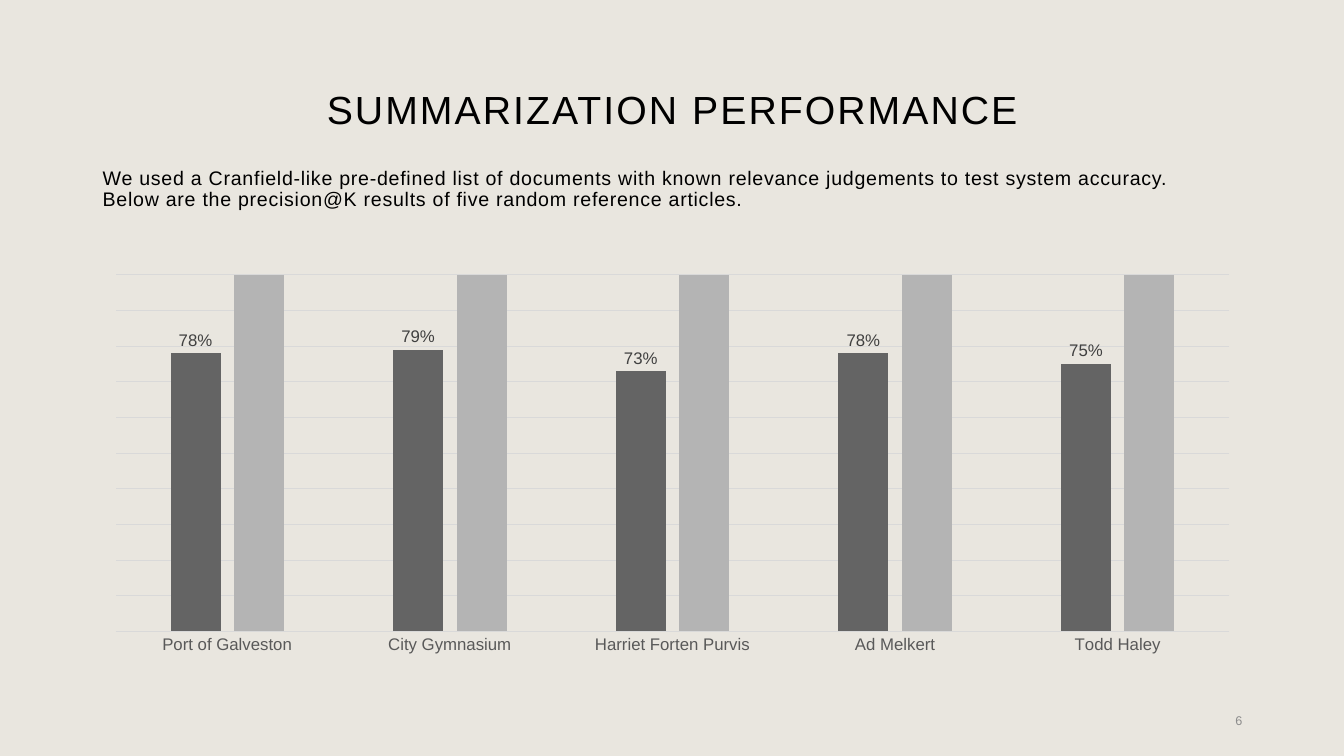
import pptx
import pptx.chart.data
import pptx.dml.color
import pptx.enum.chart
import pptx.enum.text
import pptx.util

Inches = pptx.util.Inches
Pt = pptx.util.Pt
RGBColor = pptx.dml.color.RGBColor
Align = pptx.enum.text.PP_ALIGN
Anchor = pptx.enum.text.MSO_ANCHOR

BACKGROUND = RGBColor(0xE9, 0xE6, 0xDF)
BLACK = RGBColor(0x00, 0x00, 0x00)
LABEL_GRAY = RGBColor(0x40, 0x40, 0x40)
AXIS_GRAY = RGBColor(0x59, 0x59, 0x59)
NUMBER_GRAY = RGBColor(0x8C, 0x8C, 0x8C)
GRID_GRAY = RGBColor(0xD9, 0xD9, 0xD9)
DARK_BAR = RGBColor(0x64, 0x64, 0x64)
LIGHT_BAR = RGBColor(0xB4, 0xB4, 0xB4)


class PageBuilder:
    """Holds the font and the current page."""

    def __init__(self, page, font_name):
        self.page = page
        self.font_name = font_name
        page.background.fill.solid()
        page.background.fill.fore_color.rgb = BACKGROUND

    def style_font(self, font, size, color):
        font.name = self.font_name
        font.size = Pt(size)
        font.color.rgb = color

    def text(self, words, left, top, width, height, size, color=BLACK,
             align=Align.LEFT, anchor=Anchor.MIDDLE, line_spacing=1.0,
             space_before=0, letter_spacing=0):
        box = self.page.shapes.add_textbox(
            Inches(left), Inches(top), Inches(width), Inches(height))
        frame = box.text_frame
        frame.word_wrap = True
        frame.vertical_anchor = anchor
        frame.text = words
        para = frame.paragraphs[0]
        para.alignment = align
        para.line_spacing = line_spacing
        para.space_before = Pt(space_before)
        span = para.runs[0]
        self.style_font(span.font, size, color)
        if letter_spacing:
            span.font._element.set("spc", str(int(letter_spacing * 100)))

    def column_chart(self, categories, series, left, top, width, height):
        data = pptx.chart.data.CategoryChartData(number_format="0%")
        data.categories = categories
        for name, values, color in series:
            data.add_series(name, values)
        chart = self.page.shapes.add_chart(
            pptx.enum.chart.XL_CHART_TYPE.COLUMN_CLUSTERED,
            Inches(left), Inches(top), Inches(width), Inches(height), data).chart
        chart.has_legend = False
        chart.has_title = False
        self.style_font(chart.font, 10, BLACK)

        # Bars
        plot = chart.plots[0]
        plot.vary_by_categories = False
        plot.gap_width = 219
        plot.overlap = -27
        for bars, (name, values, color) in zip(plot.series, series):
            bars.format.fill.solid()
            bars.format.fill.fore_color.rgb = color

        # Value labels on the first series
        labels = plot.series[0].data_labels
        labels.show_value = True
        labels.number_format = "0%"
        labels.number_format_is_linked = False
        labels.position = pptx.enum.chart.XL_LABEL_POSITION.OUTSIDE_END
        self.style_font(labels.font, 12, LABEL_GRAY)

        # Axes
        no_tick = pptx.enum.chart.XL_TICK_MARK.NONE
        names_axis = chart.category_axis
        names_axis.major_tick_mark = no_tick
        names_axis.minor_tick_mark = no_tick
        self.style_font(names_axis.tick_labels.font, 12, AXIS_GRAY)
        value_axis = chart.value_axis
        value_axis.visible = False
        value_axis.minimum_scale = 0
        value_axis.maximum_scale = 1
        value_axis.major_unit = 0.1
        value_axis.has_major_gridlines = True
        for line in (names_axis.format.line, value_axis.major_gridlines.format.line):
            line.color.rgb = GRID_GRAY
            line.width = Pt(0.75)


def main():
    deck = pptx.Presentation()
    deck.slide_width = Inches(13.33)
    deck.slide_height = Inches(7.5)
    builder = PageBuilder(deck.slides.add_slide(deck.slide_layouts[6]), "Arial")

    # Title and page number
    builder.text("SUMMARIZATION PERFORMANCE", 0.92, 0.38, 11.5, 1.45, 28,
                 align=Align.CENTER, line_spacing=0.9, letter_spacing=1.5)
    builder.text("6", 9.42, 6.95, 3, 0.4, 9, NUMBER_GRAY, align=Align.RIGHT)

    # Precision chart
    articles = ["Port of Galveston", "City Gymnasium", "Harriet Forten Purvis",
                "Ad Melkert", "Todd Haley"]
    series = [
        ("Series 1", [0.78, 0.79, 0.73, 0.78, 0.75], DARK_BAR),
        ("Series 2", [1] * len(articles), LIGHT_BAR),
    ]
    builder.column_chart(articles, series, 0.92, 2.65, 11.5, 3.91)

    # Introduction
    builder.text(
        "We used a Cranfield-like pre-defined list of documents with known "
        "relevance judgements to test system accuracy. Below are the "
        "precision@K results of five random reference articles.",
        0.92, 1.62, 11.27, 1.13, 14, anchor=Anchor.TOP,
        line_spacing=0.9, space_before=10, letter_spacing=0.5)

    deck.save("out.pptx")


if __name__ == "__main__":
    main()
